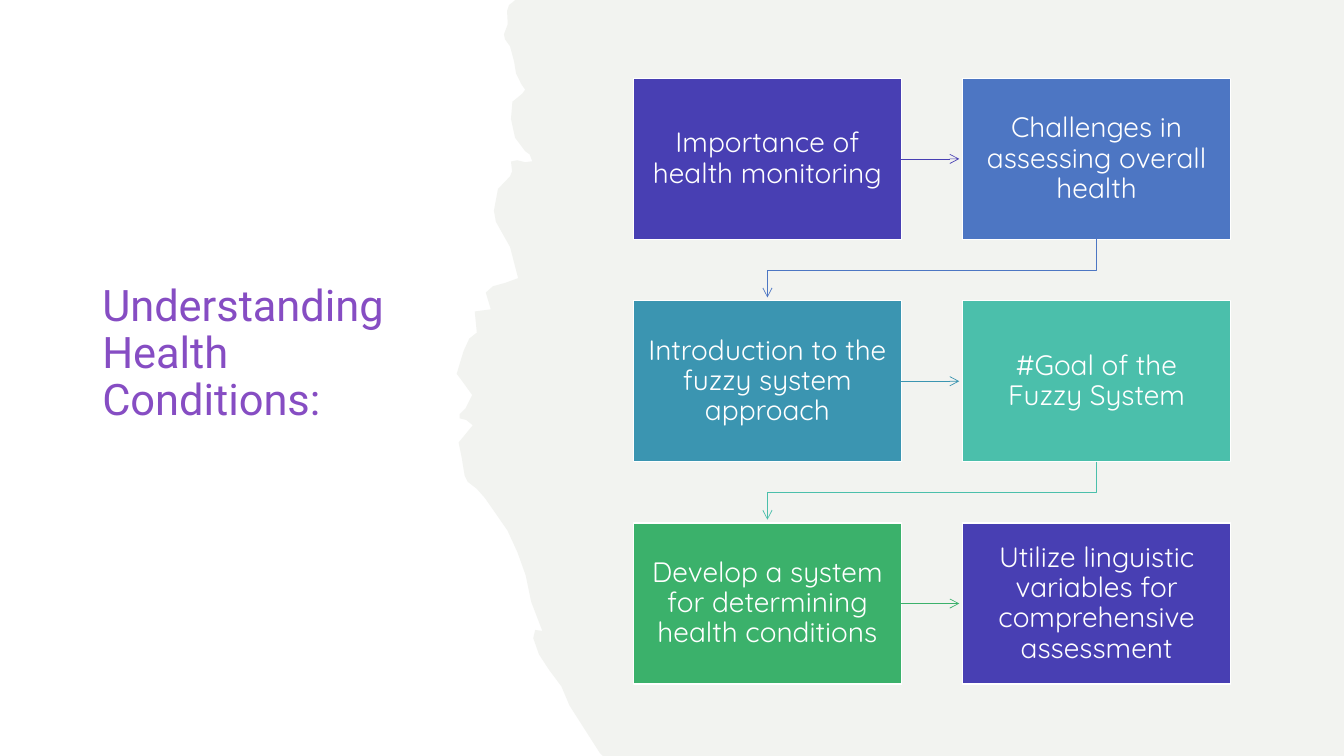
import pptx
import pptx.util
import pptx.dml.color
import pptx.enum.shapes
import pptx.enum.text
import pptx.oxml
import pptx.oxml.ns

Pt = pptx.util.Pt
RGBColor = pptx.dml.color.RGBColor

# Content
WHITE = RGBColor(0xFF, 0xFF, 0xFF)
PAPER = RGBColor(0xF2, 0xF3, 0xF0)
PURPLE = RGBColor(0x86, 0x4D, 0xC3)
INDIGO = RGBColor(0x48, 0x3F, 0xB3)
BLUE = RGBColor(0x4D, 0x76, 0xC3)
CYAN = RGBColor(0x3B, 0x95, 0xB1)
TEAL = RGBColor(0x4B, 0xBF, 0xAB)
GREEN = RGBColor(0x3B, 0xB1, 0x6B)

TITLE = "Understanding Health Conditions:"
STEPS = [
    ("Importance of health monitoring", INDIGO),
    ("Challenges in assessing overall health", BLUE),
    ("Introduction to the fuzzy system approach", CYAN),
    ("#Goal of the Fuzzy System", TEAL),
    ("Develop a system for determining health conditions", GREEN),
    ("Utilize linguistic variables for comprehensive assessment", INDIGO),
]

# Torn paper edge, from top to bottom, in points
TORN_EDGE = [
    (367.9, 0), (366.5, 1.4), (363.6, 3.6), (362.2, 7.9), (362.7, 17.3),
    (360, 24.5), (360.7, 28.1), (364.3, 33.1), (367.2, 43.9), (368.6, 52.4),
    (372.2, 59.8), (375.1, 64.1), (373, 67), (366, 72.7), (365, 85),
    (367.9, 98.4), (375.1, 108), (378.4, 110.4), (380.2, 115.2),
    (375.1, 115.9), (369.4, 114.5), (365, 115.4), (365.8, 122.4),
    (364.3, 126), (355.7, 135), (352.8, 150.5), (354.2, 158.4),
    (364.3, 176.4), (370.1, 198.7), (361.1, 202), (352.1, 204.5),
    (347, 209), (350.6, 221), (339.1, 222.5), (340.6, 237.6),
    (335.2, 241.9), (331.2, 250.6), (329, 257.8), (326.2, 267.1),
    (329, 270.7), (337.3, 282.2), (332.6, 291.6), (328.3, 296),
    (328.3, 298.8), (333, 300), (337.7, 303.8), (327.6, 316.1),
    (329.8, 326.9), (331.9, 339.8), (334.1, 344.2), (340.6, 349.2),
    (346.3, 355.7), (352.8, 365), (362.5, 379), (369.6, 394.5),
    (375.5, 411), (379.4, 429.8), (387.4, 450.7), (382.3, 450),
    (380.9, 455.8), (385, 467.5), (392.4, 478.8), (401, 490.3),
    (406.8, 504), (428.4, 537.8), (430.6, 540),
]

# Layout, in points
WIDTH, HEIGHT = 960, 540
GRID_LEFT, GRID_TOP = 452.4, 56
BOX_WIDTH, BOX_HEIGHT = 191.5, 115
COLUMN_STEP, ROW_STEP = 235.2, 158.8
COLUMNS = 2
ARROW_GAP = 2.4
ELBOW_DROP = 22

deck = pptx.Presentation()
deck.slide_width, deck.slide_height = Pt(WIDTH), Pt(HEIGHT)
page = deck.slides.add_slide(deck.slide_layouts[6])
page.background.fill.solid()
page.background.fill.fore_color.rgb = PAPER


def apply(target, formats):
    for name, value in formats.items():
        setattr(target, name, value)


def write(box, text, size, font, color, align, margins):
    apply(box.text_frame, {
        "word_wrap": True,
        "vertical_anchor": pptx.enum.text.MSO_ANCHOR.MIDDLE,
        **margins,
    })
    para = box.text_frame.paragraphs[0]
    apply(para, {"alignment": align, "line_spacing": 0.9})
    span = para.add_run()
    apply(span, {"text": text})
    apply(span.font, {"size": Pt(size), "name": font})
    span.font.color.rgb = color


def add_rectangle(left, top, width, height, color):
    box = page.shapes.add_shape(
        pptx.enum.shapes.MSO_SHAPE.RECTANGLE, Pt(left), Pt(top), Pt(width), Pt(height))
    box.shadow.inherit = False
    box.fill.solid()
    box.fill.fore_color.rgb = color
    box.line.fill.background()
    return box


def add_outline(points, close):
    corners = [(Pt(x), Pt(y)) for x, y in points]
    builder = page.shapes.build_freeform(*corners[0])
    builder.add_line_segments(corners[1:], close=close)
    outline = builder.convert_to_shape()
    outline.shadow.inherit = False
    return outline


def style_arrow(arrow, color):
    arrow.line.width = Pt(0.5)
    arrow.line.color.rgb = color
    line = arrow.element.spPr.find(pptx.oxml.ns.qn("a:ln"))
    line.append(pptx.oxml.parse_xml(
        f'<a:tailEnd {pptx.oxml.ns.nsdecls("a")} type="arrow"/>'))


# White panel, title and torn edge
add_rectangle(0, 0, WIDTH, HEIGHT, WHITE)
title_box = page.shapes.add_textbox(Pt(66), Pt(39.4), Pt(252), Pt(427.7))
write(title_box, TITLE, 31, "Roboto", PURPLE, pptx.enum.text.PP_ALIGN.LEFT, {})
paper = add_outline([*TORN_EDGE, (WIDTH, HEIGHT), (WIDTH, 0)], True)
paper.fill.solid()
paper.fill.fore_color.rgb = PAPER
paper.line.fill.background()

# Step boxes
step_margins = {
    "margin_left": Pt(9.4), "margin_right": Pt(9.4),
    "margin_top": Pt(10), "margin_bottom": Pt(10),
}
places = []
boxes = []
for index, (text, color) in enumerate(STEPS):
    row, column = divmod(index, COLUMNS)
    left, top = GRID_LEFT + column * COLUMN_STEP, GRID_TOP + row * ROW_STEP
    box = add_rectangle(left, top, BOX_WIDTH, BOX_HEIGHT, color)
    box.line.color.rgb = WHITE
    box.line.width = Pt(1)
    write(box, text, 20, "Quicksand", WHITE, pptx.enum.text.PP_ALIGN.CENTER, step_margins)
    places.append((left, top))
    boxes.append(box)

# Arrows from each step to the next
for index, (left, top) in enumerate(places[:-1]):
    next_left, next_top = places[index + 1]
    if next_top == top:
        middle = top + BOX_HEIGHT / 2
        arrow = page.shapes.add_connector(
            pptx.enum.shapes.MSO_CONNECTOR.STRAIGHT,
            Pt(left + BOX_WIDTH), Pt(middle), Pt(next_left - ARROW_GAP), Pt(middle))
        arrow.begin_connect(boxes[index], 3)
        style_arrow(arrow, STEPS[index][1])
        arrow.element.spPr.append(pptx.oxml.parse_xml(
            f'<a:effectLst {pptx.oxml.ns.nsdecls("a")}/>'))
    else:
        start, end = left + BOX_WIDTH / 2, next_left + BOX_WIDTH / 2
        bottom = top + BOX_HEIGHT
        arrow = add_outline([
            (start, bottom), (start, bottom + ELBOW_DROP),
            (end, bottom + ELBOW_DROP), (end, next_top - ARROW_GAP)], False)
        arrow.fill.background()
        style_arrow(arrow, STEPS[index][1])

deck.save("out.pptx")
